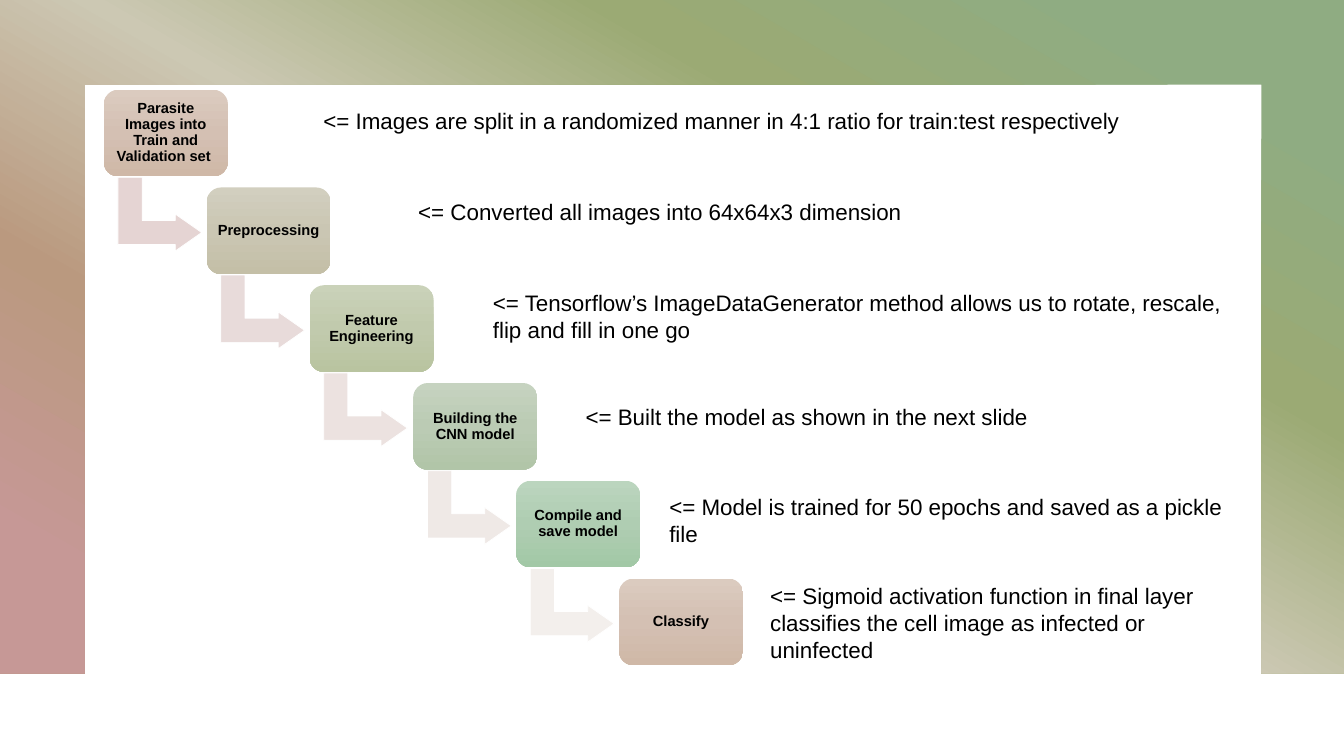
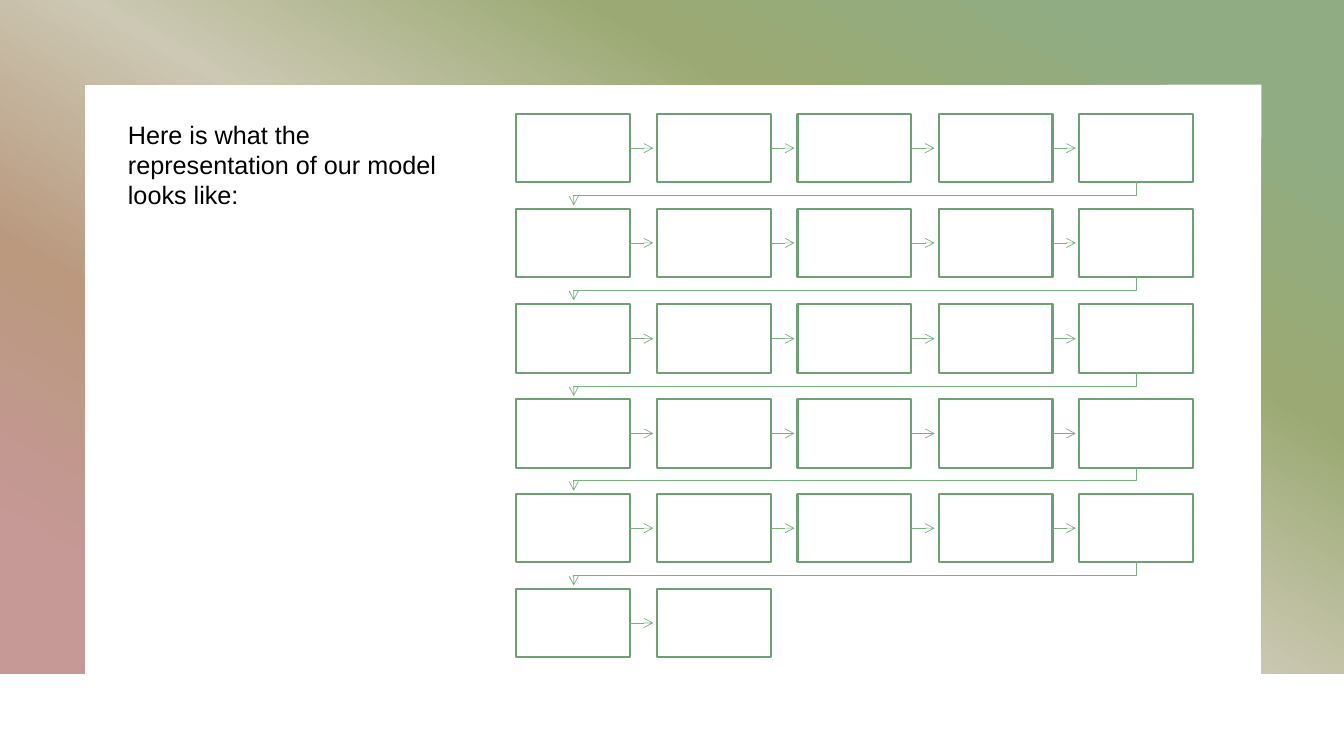
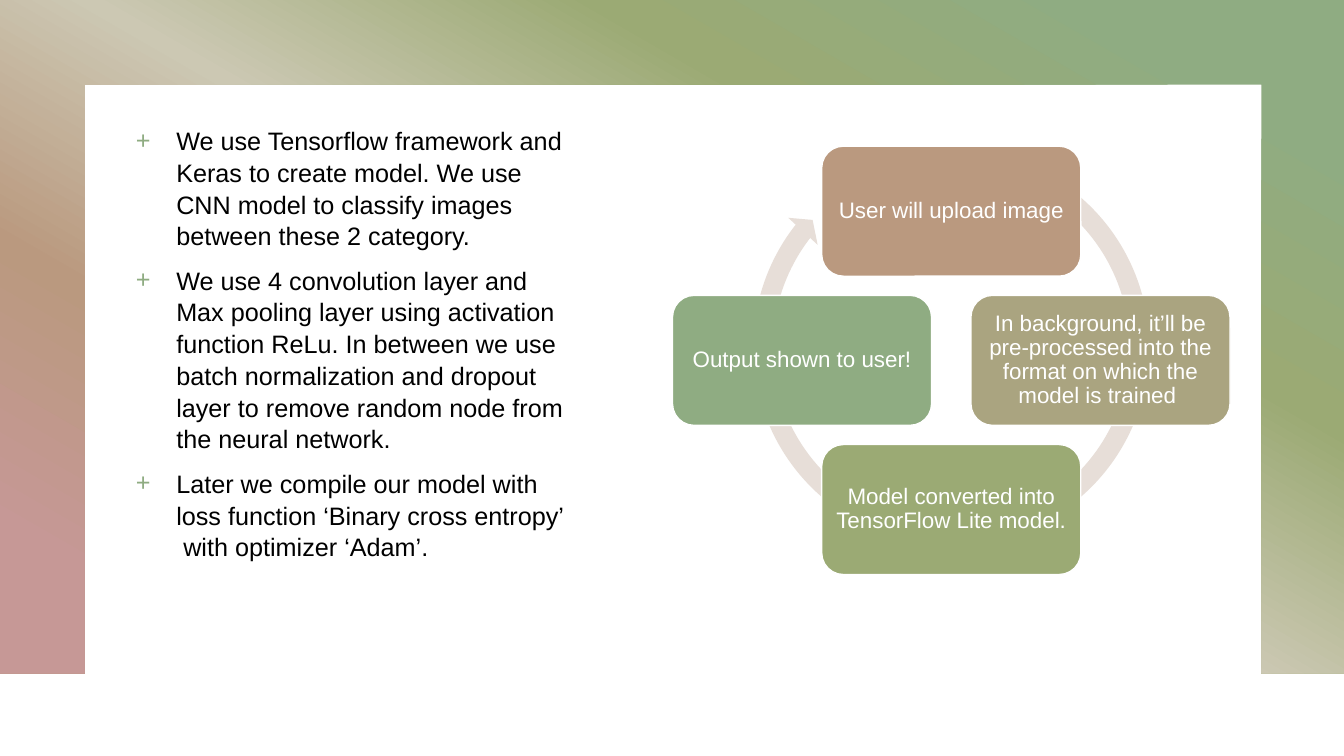
from dataclasses import dataclass
from lxml.etree import SubElement
from pptx import Presentation
from pptx.dml.color import RGBColor
from pptx.enum.shapes import MSO_CONNECTOR as Link, MSO_SHAPE as Kind
from pptx.enum.text import MSO_ANCHOR as Anchor, PP_ALIGN as Align
from pptx.oxml.ns import qn
from pptx.util import Pt

PX = 9144  # EMU per px, 100 px to the inch


@dataclass(frozen=True)
class Theme:
    font: str = "Arial"
    ink: str = "000000"
    paper: str = "FFFFFF"
    mark: str = "8FAC82"
    box: str = "6DA072"
    flow: str = "78B07E"
    ring: str = "E7DED8"
    frame: tuple = ((10, "8FAC82"), (30, "9BAA74"), (50, "CCC8B3"),
                    (70, "BA997F"), (90, "C69896"))
    steps: tuple = (("DBCBBF", "D4C0B3", "CFB8A7"), ("D2CFBF", "CAC6B3", "C4BFA7"),
                    ("CAD2B9", "C1CAAD", "B9C4A0"), ("C6D3C0", "BBCBB4", "B1C5A8"),
                    ("BBD5BE", "AFCDB2", "A2C8A6"))
    bends: tuple = ("E5D4D3", "E8DBDA", "ECE2E0", "EFE9E6", "F3EFEC")
    cycle: tuple = ("BA997F", "AAA480", "9BAA74", "8FAC82")
    small: float = 10.5
    note: int = 16
    body: int = 18


def rgb(code):
    return RGBColor.from_string(code)


def px(*nums):
    return [round(n) * PX for n in nums]


class Deck:
    """Holds the style and the slide being filled."""

    def __init__(self, theme):
        self.look = theme
        self.prs = Presentation()
        self.prs.slide_width, self.prs.slide_height = px(1333, 750)

    def page(self):
        """Start a slide with the gradient frame that all slides share."""
        self.slide = self.prs.slides.add_slide(self.prs.slide_layouts[6])
        self.shapes = self.slide.shapes
        frame = self.trace([(0, 0), (1333, 0), (1333, 668), (1251, 668),
                            (1251, 84), (84, 84), (84, 668), (0, 668)], True)
        self.paint(frame)
        self.blend(frame, self.look.frame, 120)

    def trace(self, pts, close):
        form = self.shapes.build_freeform(*pts[0], scale=PX)
        form.add_line_segments(pts[1:], close=close)
        return form.convert_to_shape()

    def paint(self, shape, fill=None, line=None, width=1):
        shape.shadow.inherit = False
        if fill:
            shape.fill.solid()
            shape.fill.fore_color.rgb = rgb(fill)
        else:
            shape.fill.background()
        if line:
            self.stroke(shape, line, width)
        else:
            shape.line.fill.background()

    def stroke(self, item, color, width):
        item.line.color.rgb = rgb(color)
        item.line.width = Pt(width)

    def blend(self, shape, stops, angle):
        """Fill with a linear gradient; the angle runs clockwise."""
        shape.fill.gradient()
        grad = shape.element.spPr.find(qn("a:gradFill"))
        for kid in list(grad):
            grad.remove(kid)
        rows = SubElement(grad, qn("a:gsLst"))
        for pos, color in stops:
            stop = SubElement(rows, qn("a:gs"), pos=str(pos * 1000))
            SubElement(stop, qn("a:srgbClr"), val=color)
        SubElement(grad, qn("a:lin"), ang=str(angle * 60000), scaled="0")

    def shape(self, kind, at, fill=None, line=None, width=1, adj=()):
        item = self.shapes.add_shape(kind, *px(*at))
        self.paint(item, fill, line, width)
        for i, num in enumerate(adj):
            item.adjustments[i] = num
        return item

    def words(self, para, text, size, color):
        run = para.add_run()
        run.text = text
        run.font.name = self.look.font
        run.font.size = Pt(size)
        run.font.color.rgb = rgb(color)
        return run

    def card(self, at, text, size, color, pad, fill=None, line=None):
        """Rounded box with centred text."""
        item = self.shape(Kind.ROUNDED_RECTANGLE, at, fill, line)
        frame = item.text_frame
        frame.word_wrap = True
        frame.vertical_anchor = Anchor.MIDDLE
        frame.margin_left = frame.margin_right = pad * PX
        frame.margin_top = frame.margin_bottom = pad * PX
        para = frame.paragraphs[0]
        para.alignment = Align.CENTER
        para.line_spacing = 0.9
        return item, self.words(para, text, size, color)

    def text(self, at, text, size):
        frame = self.shapes.add_textbox(*px(*at)).text_frame
        frame.word_wrap = True
        self.words(frame.paragraphs[0], text, size, self.look.ink)

    def bullets(self, at, items):
        frame = self.shapes.add_textbox(*px(*at)).text_frame
        frame.word_wrap = True
        for i, item in enumerate(items):
            para = frame.add_paragraph() if i else frame.paragraphs[0]
            para.line_spacing = 1.05
            para.space_before = Pt(9)
            prop = para._p.get_or_add_pPr()
            prop.set("marL", str(40 * PX))
            prop.set("indent", str(-40 * PX))
            tint = SubElement(prop, qn("a:buClr"))
            SubElement(tint, qn("a:srgbClr"), val=self.look.mark)
            SubElement(prop, qn("a:buFont"), typeface=self.look.font)
            SubElement(prop, qn("a:buChar"), char="+")
            self.words(para, item, self.look.body, self.look.ink)

    def tip(self, item):
        """Colour a flow line and give it an open arrowhead."""
        self.stroke(item, self.look.flow, 0.5)
        SubElement(item.line._get_or_add_ln(), qn("a:tailEnd"), type="arrow")

    def arrow(self, box, x, y):
        """Straight arrow from the right side of a box to a point."""
        line = self.shapes.add_connector(Link.STRAIGHT, *px(x, y, x, y))
        line.begin_connect(box, 3)
        SubElement(line._element.spPr, qn("a:effectLst"))
        self.tip(line)

    def turn(self, pts):
        line = self.trace(pts, False)
        self.paint(line)
        self.tip(line)


def steps(deck):
    look = deck.look
    deck.page()
    names = ["Parasite Images into Train and Validation set ", "Preprocessing",
             "Feature Engineering", "Building the CNN model",
             "Compile and save model", "Classify"]
    for i, name in enumerate(names):
        x, y = 103 + round(102.2 * i), 89 + 97 * i
        if i < len(look.bends):
            bend = deck.shape(Kind.BENT_UP_ARROW, (x + 19, y + 82, 73, 83),
                              look.bends[i], look.paper, 0.5, (0.328, 0.25, 0.358))
            bend.rotation = 90
        card, run = deck.card((x, y, 123, 86), name, look.small, look.ink, 5)
        run.font.bold = True
        tones = look.steps[i % len(look.steps)]
        deck.blend(card, zip((0, 50, 100), tones), 90)
    notes = [
        ((311, 101, 886, 37), "<= Images are split in a randomized manner in 4:1 ratio for train:test respectively"),
        ((405, 192, 770, 37), "<= Converted all images into 64x64x3 dimension"),
        ((479, 282, 751, 64), "<= Tensorflow’s ImageDataGenerator method allows us to rotate, rescale, flip and fill in one go"),
        ((571, 395, 680, 37), "<= Built the model as shown in the next slide"),
        ((654, 484, 576, 64), "<= Model is trained for 50 epochs and saved as a pickle file"),
        ((754, 573, 493, 91), "<= Sigmoid activation function in final layer classifies the cell image as infected or uninfected"),
    ]
    for at, note in notes:
        deck.text(at, note, look.note)


def model(deck):
    look = deck.look
    deck.page()
    wide, high, cols, count = 113, 68, 5, 27
    for i in range(count):
        row, col = divmod(i, cols)
        x, y = round(512 + 139.6 * col), round(113 + 94.25 * row)
        box = deck.shape(Kind.RECTANGLE, (x, y, wide, high), look.paper, look.box, 1.5)
        if i == count - 1:
            break
        if col < cols - 1:
            deck.arrow(box, x + wide + 23, y + high // 2)
        else:
            mid, base, home = x + 57, y + high, 569
            deck.turn([(mid, base), (mid, base + 13),
                       (home, base + 13), (home, base + 23)])
    deck.text((117, 113, 358, 101),
              "Here is what the representation of our model looks like:", look.body)


def cycle(deck):
    look = deck.look
    deck.page()
    deck.bullets((125, 118, 448, 507), [
        "We use Tensorflow framework and Keras to create model. We use CNN model to classify images between these 2 category. ",
        "We use 4 convolution layer and Max pooling layer using activation function ReLu. In between we use batch normalization and dropout layer to remove random node from the neural network.",
        "Later we compile our model with loss function ‘Binary cross entropy’  with optimizer ‘Adam’.",
    ])
    deck.shape(Kind.CIRCULAR_ARROW, (737, 138, 413, 413), look.ring,
               adj=(0.047, 2.729, 130.805, 178.634, 0.048))
    stops = [
        (0, -1, "User will upload image"),
        (1, 0, "In background, it’ll be pre-processed into the format on which the model is trained "),
        (0, 1, "Model converted into TensorFlow Lite model. "),
        (-1, 0, "Output shown to user!"),
    ]
    for (dx, dy, name), tone in zip(stops, look.cycle):
        deck.card((815 + 148 * dx, 293 + 148 * dy, 257, 129), name,
                  look.note, look.paper, 7, tone, look.paper)


def main():
    deck = Deck(Theme())
    for draw in (steps, model, cycle):
        draw(deck)
    deck.prs.save("out.pptx")


if __name__ == "__main__":
    main()
